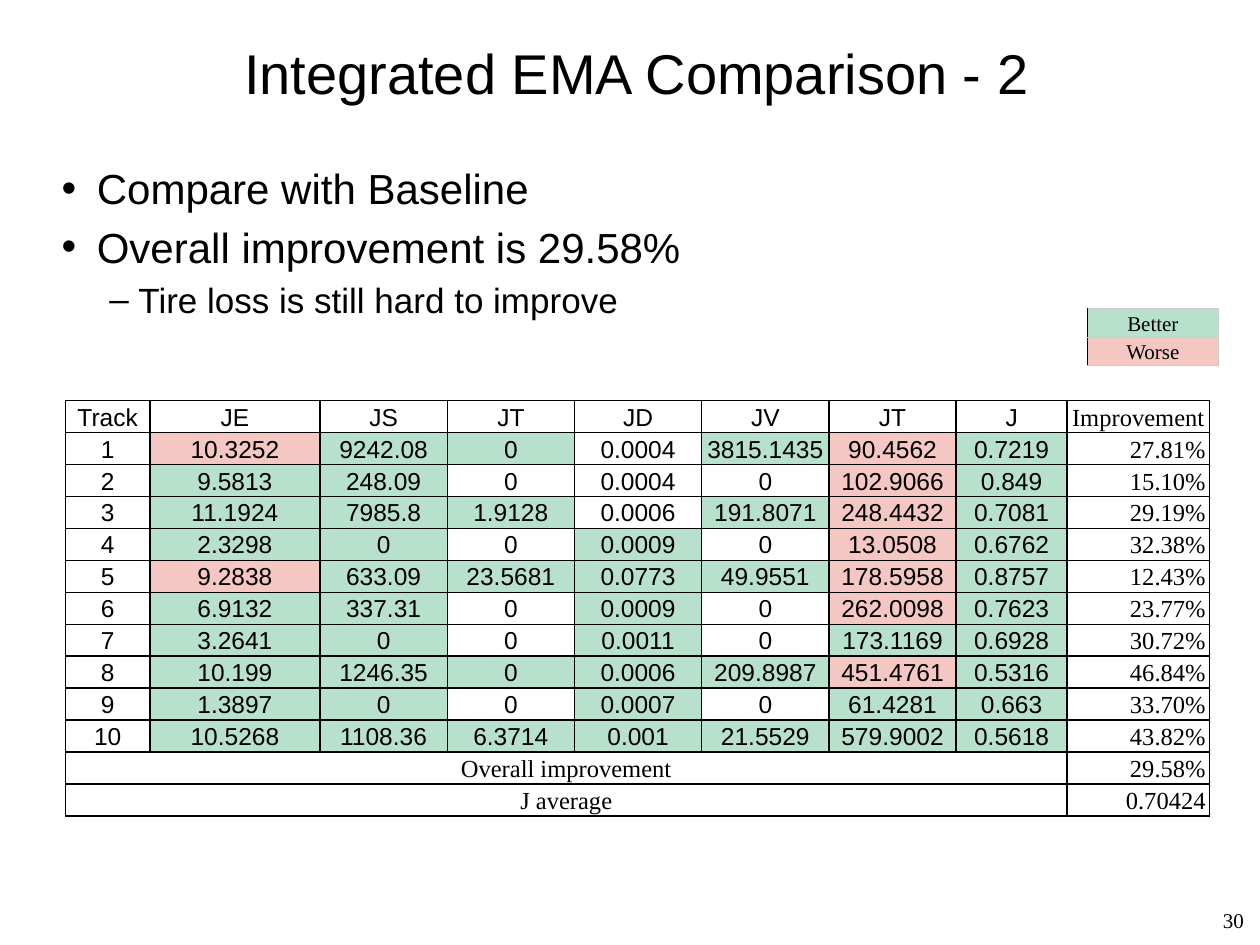
from lxml import etree
from pptx import Presentation
from pptx import util as u
from pptx.dml import color
from pptx.enum import text
from pptx.oxml import ns

THEME = {
    "ink": "000000", "rule": "CCCCCC", "good": "B7E1CD", "bad": "F4C7C3",
    "sans": "Arial", "serif": "Times New Roman",
    "title": 32, "body": 24, "sub": 20, "cell": 14, "small": 12,
}
GRID = (1000, 750)
UNIT = u.Inches(0.01)

TITLE = "Integrated EMA Comparison - 2"
PAGE = "30"
POINTS = [
    ("Compare with Baseline", 0),
    ("Overall improvement is 29.58%", 0),
    ("Tire loss is still hard to improve", 1),
]
LEVELS = [("•", "body", 28, 28), ("–", "sub", 61, 23)]
KEY = [("Better", "good"), ("Worse", "bad")]
HEAD = ["Track", "JE", "JS", "JT", "JD", "JV", "JT", "J", "Improvement"]
TRACKS = [
    ("10.3252 9242.08 0 0.0004 3815.1435 90.4562 0.7219 27.81%", "rgg-grg"),
    ("9.5813 248.09 0 0.0004 0 102.9066 0.849 15.10%", "gg---rg"),
    ("11.1924 7985.8 1.9128 0.0006 191.8071 248.4432 0.7081 29.19%", "ggg-grg"),
    ("2.3298 0 0 0.0009 0 13.0508 0.6762 32.38%", "gg-g-rg"),
    ("9.2838 633.09 23.5681 0.0773 49.9551 178.5958 0.8757 12.43%", "rggggrg"),
    ("6.9132 337.31 0 0.0009 0 262.0098 0.7623 23.77%", "gg-g-rg"),
    ("3.2641 0 0 0.0011 0 173.1169 0.6928 30.72%", "gg-g-gg"),
    ("10.199 1246.35 0 0.0006 209.8987 451.4761 0.5316 46.84%", "gggggrg"),
    ("1.3897 0 0 0.0007 0 61.4281 0.663 33.70%", "gg-g-gg"),
    ("10.5268 1108.36 6.3714 0.001 21.5529 579.9002 0.5618 43.82%", "ggggggg"),
]
TOTALS = [("Overall improvement", "29.58%"), ("J average", "0.70424")]
MARKS = {"g": "good", "r": "bad", "-": None}

AREAS = {
    "title": (114, 12, 783, 91),
    "page": (938, 710, 59, 40),
    "points": (39, 124, 922, 290),
}
KEYGRID = ((863, 245), [104], [23, 22])
MAIN = ((52, 318), [67, 135] + [101] * 5 + [88, 113], [25] * 13)

ALIGN = text.PP_ALIGN
ANCHOR = text.MSO_ANCHOR
CELL = {
    "vertical_anchor": ANCHOR.BOTTOM,
    "margin_left": 3 * UNIT, "margin_right": 3 * UNIT,
    "margin_top": UNIT, "margin_bottom": UNIT,
}


def apply(item, form):
    for name, value in form.items():
        setattr(item, name, value)


def put(para, words, size, face, align):
    para.alignment = align
    run = para.add_run()
    run.text = words
    apply(run.font, {"size": u.Pt(THEME[size]), "name": THEME[face]})
    run.font.color.rgb = color.RGBColor.from_string(THEME["ink"])


def node(base, tag, **attrs):
    return etree.SubElement(base, ns.qn(tag), **attrs)


def frame(slide, area, anchor):
    box = slide.shapes.add_textbox(*(n * UNIT for n in AREAS[area])).text_frame
    apply(box, {"word_wrap": True, "vertical_anchor": anchor})
    return box


def bullet(para, level):
    mark, size, left, hang = LEVELS[level]
    para.level = level
    props = para._p.get_or_add_pPr()
    props.set("marL", str(left * UNIT))
    props.set("indent", str(-hang * UNIT))
    node(node(props, "a:spcBef"), "a:spcPct", val="20000")
    node(props, "a:buFont", typeface=THEME["sans"])
    node(props, "a:buChar", char=mark)
    return size


def grid(slide, plan):
    spot, cols, rows = plan
    dims = (*spot, sum(cols), sum(rows))
    table = slide.shapes.add_table(
        len(rows), len(cols), *(n * UNIT for n in dims)).table
    apply(table, {"first_row": False, "horz_banding": False})
    for col, wide in zip(table.columns, cols):
        col.width = wide * UNIT
    for row, high in zip(table.rows, rows):
        row.height = high * UNIT
    return table


def style(cell, fill, edges, width):
    apply(cell, CELL)
    props = cell._tc.get_or_add_tcPr()
    for side, tint in zip("LRTB", edges):
        line = node(props, "a:ln" + side, w=str(u.Pt(width)))
        node(node(line, "a:solidFill"), "a:srgbClr", val=THEME[tint])
    if fill:
        cell.fill.solid()
        cell.fill.fore_color.rgb = color.RGBColor.from_string(THEME[fill])
    else:
        cell.fill.background()


def legend(slide):
    table = grid(slide, KEYGRID)
    for cell, (words, fill) in zip(table.iter_cells(), KEY):
        style(cell, fill, ["ink", "rule", "rule", "rule"], 0.75)
        put(cell.text_frame.paragraphs[0], words, "small", "serif", ALIGN.CENTER)


def results(slide):
    table = grid(slide, MAIN)
    last = len(HEAD) - 1
    rows = [(HEAD, "-" * last)]
    rows += [([str(n), *vals.split()], "-" + marks)
             for n, (vals, marks) in enumerate(TRACKS, 1)]
    rows += [([name] + [""] * (last - 1) + [val], "-" * last)
             for name, val in TOTALS]
    total = len(rows) - len(TOTALS)
    for r, (vals, marks) in enumerate(rows):
        for c, (words, mark) in enumerate(zip(vals, marks + "-")):
            cell = table.cell(r, c)
            style(cell, MARKS[mark], ["ink"] * 4, 1)
            if words:
                face = "serif" if c == last or r >= total else "sans"
                align = ALIGN.RIGHT if c == last and r else ALIGN.CENTER
                put(cell.text_frame.paragraphs[0], words, "cell", face, align)
        if r >= total:
            table.cell(r, 0).merge(table.cell(r, last - 1))


def main():
    deck = Presentation()
    deck.slide_width, deck.slide_height = (n * UNIT for n in GRID)
    slide = deck.slides.add_slide(deck.slide_layouts[6])
    title = frame(slide, "title", ANCHOR.MIDDLE)
    put(title.paragraphs[0], TITLE, "title", "sans", ALIGN.CENTER)
    page = frame(slide, "page", ANCHOR.MIDDLE)
    put(page.paragraphs[0], PAGE, "small", "serif", ALIGN.RIGHT)
    body = frame(slide, "points", ANCHOR.TOP)
    for i, (words, level) in enumerate(POINTS):
        para = body.add_paragraph() if i else body.paragraphs[0]
        put(para, words, bullet(para, level), "sans", ALIGN.LEFT)
    legend(slide)
    results(slide)
    deck.save("out.pptx")


if __name__ == "__main__":
    main()
